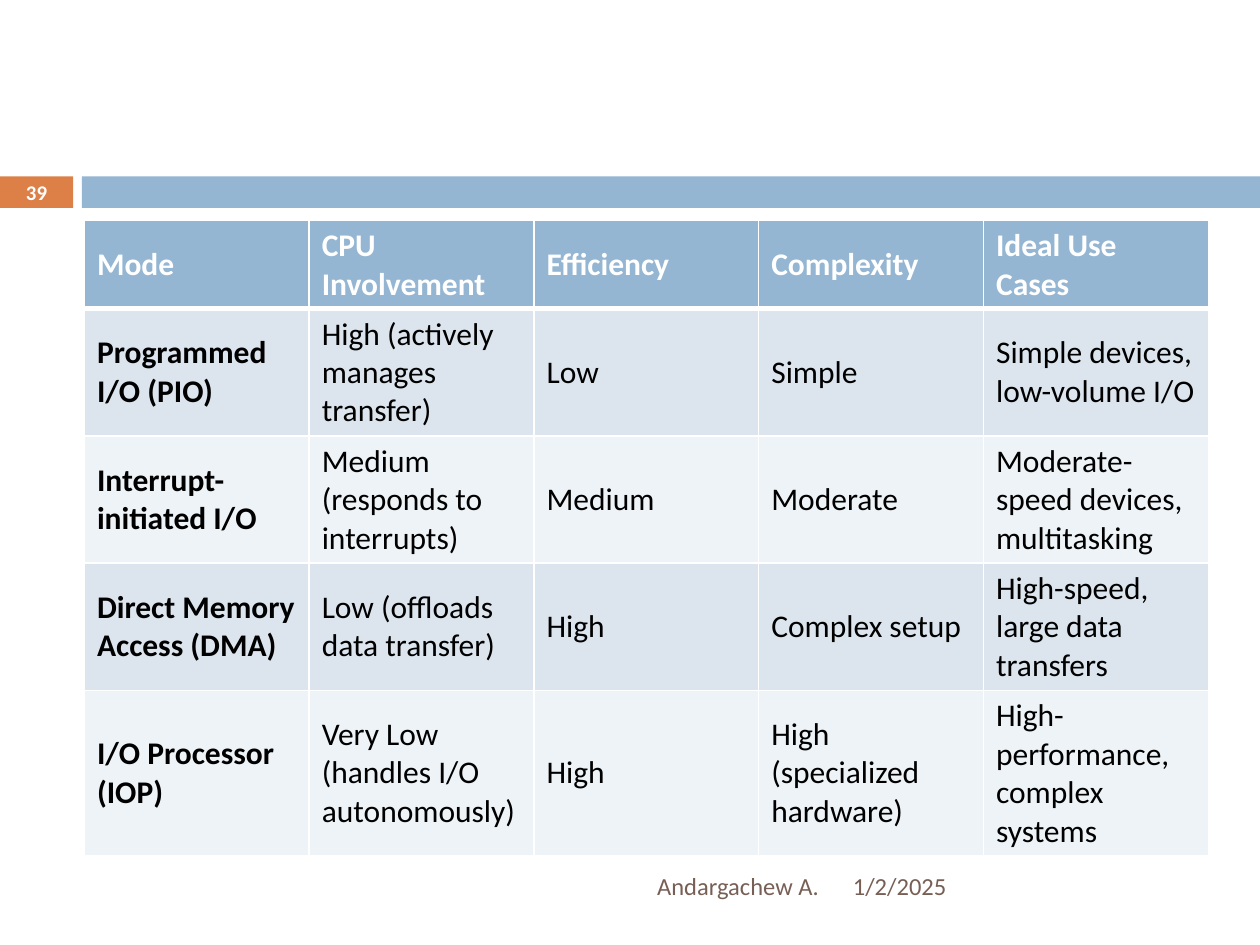
from lxml import etree
from pptx import Presentation
from pptx.dml.color import RGBColor
from pptx.enum.shapes import MSO_SHAPE
from pptx.enum.text import MSO_ANCHOR, PP_ALIGN
from pptx.oxml.ns import qn
from pptx.util import Inches, Pt

RECTANGLE = MSO_SHAPE.RECTANGLE
MIDDLE = MSO_ANCHOR.MIDDLE
LEFT, CENTER, RIGHT = PP_ALIGN.LEFT, PP_ALIGN.CENTER, PP_ALIGN.RIGHT
FONT = "Calibri"
COLORS = {
    "orange": "DD8047",
    "blue": "94B6D2",
    "brown": "775F55",
    "white": "FFFFFF",
    "black": "000000",
    "band_dark": "DCE5EE",
    "band_light": "EEF3F7",
}


def style_text(text_frame, size, color, bold=False, align=LEFT):
    para = text_frame.paragraphs[0]
    para.alignment = align
    font = para.runs[0].font
    font.name = FONT
    font.size = Pt(size)
    font.bold = bold
    font.color.rgb = RGBColor.from_string(COLORS[color])


def set_borders(cell, widths):
    properties = cell._tc.get_or_add_tcPr()
    for index, (side, width) in enumerate(widths.items()):
        line = etree.Element(qn(f"a:{side}"), w=str(Pt(width)))
        fill = etree.SubElement(line, qn("a:solidFill"))
        etree.SubElement(fill, qn("a:srgbClr"), val=COLORS["white"])
        properties.insert(index, line)


deck = Presentation()
deck.slide_width = Inches(10)
deck.slide_height = Inches(7.5)
page = deck.slides.add_slide(deck.slide_layouts[6])

for left, width, color in [(0, 0.58, "orange"), (0.65, 9.35, "blue")]:
    bar = page.shapes.add_shape(
        RECTANGLE, Inches(left), Inches(1.4), Inches(width), Inches(0.25))
    bar.shadow.inherit = False
    bar.fill.solid()
    bar.fill.fore_color.rgb = RGBColor.from_string(COLORS[color])
    bar.line.fill.background()

labels = [
    ("1/2/2025", 6.67, 6.83, 2.92, 0.4, 14, "brown", False, LEFT, 0.1),
    ("Andargachew A.", 0.67, 6.83, 5.93, 0.4, 14, "brown", False, RIGHT, 0.1),
    ("39", 0, 1.39, 0.58, 0.27, 11.9, "white", True, CENTER, 0),
]
for text, left, top, width, height, size, color, bold, align, margin in labels:
    box = page.shapes.add_textbox(
        Inches(left), Inches(top), Inches(width), Inches(height))
    frame = box.text_frame
    frame.word_wrap = True
    frame.vertical_anchor = MIDDLE
    frame.margin_left = frame.margin_right = Inches(margin)
    frame.margin_top = frame.margin_bottom = 0
    frame.text = text
    style_text(frame, size, color, bold, align)

modes = [
    ["Mode", "CPU Involvement", "Efficiency", "Complexity", "Ideal Use Cases"],
    ["Programmed I/O (PIO)", "High (actively manages transfer)", "Low",
     "Simple", "Simple devices, low-volume I/O"],
    ["Interrupt-initiated I/O", "Medium (responds to interrupts)", "Medium",
     "Moderate", "Moderate-speed devices, multitasking"],
    ["Direct Memory Access (DMA)", "Low (offloads data transfer)", "High",
     "Complex setup", "High-speed, large data transfers"],
    ["I/O Processor (IOP)", "Very Low (handles I/O autonomously)", "High",
     "High (specialized hardware)", "High-performance, complex systems"],
]
row_heights = [0.7, 1.01, 1.01, 1.01, 1.31]
table = page.shapes.add_table(
    len(modes), len(modes[0]), Inches(0.67), Inches(1.75),
    Inches(8.92), Inches(sum(row_heights))).table

for row_index, (values, height) in enumerate(zip(modes, row_heights)):
    table.rows[row_index].height = Inches(height)
    header = row_index == 0
    band = "blue" if header else "band_dark" if row_index % 2 else "band_light"
    top_width = 3 if row_index == 1 else 1
    bottom_width = 3 if header else 1
    for column_index, value in enumerate(values):
        cell = table.cell(row_index, column_index)
        cell.text_frame.text = value
        cell.vertical_anchor = MIDDLE
        cell.fill.solid()
        cell.fill.fore_color.rgb = RGBColor.from_string(COLORS[band])
        set_borders(
            cell, {"lnL": 1, "lnR": 1, "lnT": top_width, "lnB": bottom_width})
        style_text(cell.text_frame, 18, "white" if header else "black",
                   header or column_index == 0)

deck.save("out.pptx")
